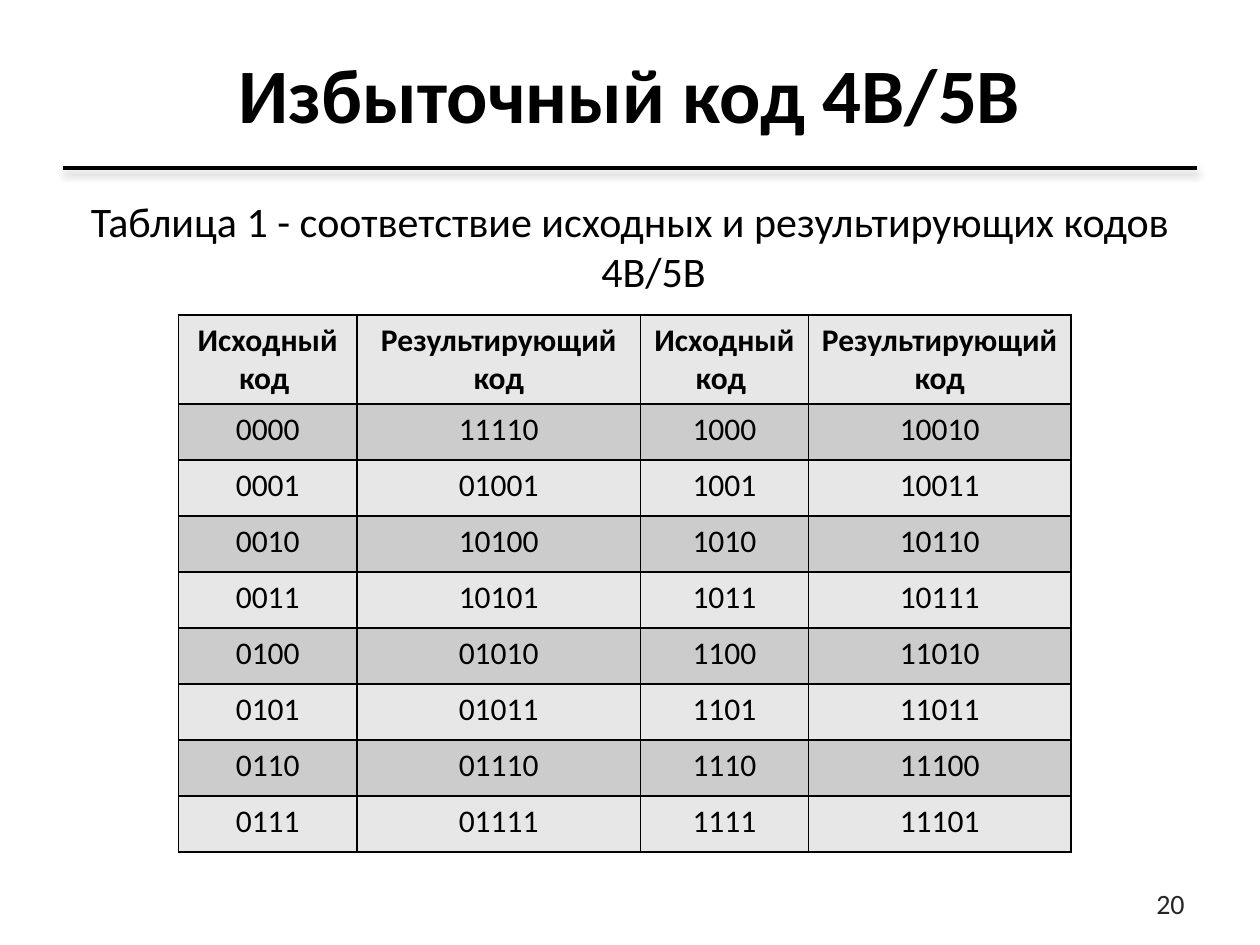
from typing import NamedTuple

from lxml import etree
from pptx import Presentation
from pptx.dml.color import RGBColor
from pptx.enum import shapes, text
from pptx.oxml import ns, parse_xml
from pptx.util import Pt

BLACK = RGBColor(0x00, 0x00, 0x00)
DARK = RGBColor(0x26, 0x26, 0x26)
LIGHT_ROW = RGBColor(0xE7, 0xE7, 0xE7)
GREY_ROW = RGBColor(0xCC, 0xCC, 0xCC)
FONT = "Calibri"
CENTER, RIGHT = text.PP_ALIGN.CENTER, text.PP_ALIGN.RIGHT
TOP, MIDDLE = text.MSO_ANCHOR.TOP, text.MSO_ANCHOR.MIDDLE

HEADER = ["Исходный код ", "Результирующий код"] * 2
RESULT_CODES = (
    "11110 01001 10100 10101 01010 01011 01110 01111 "
    "10010 10011 10110 10111 11010 11011 11100 11101"
).split()
HALF = len(RESULT_CODES) // 2
COLUMN_WIDTHS = [102, 162, 96, 150]
HEADER_HEIGHT, ROW_HEIGHT = 51, 32


class Label(NamedTuple):
    text: str
    left: float
    top: float
    width: float
    height: float
    size: float
    color: RGBColor = BLACK
    bold: bool = False
    align: text.PP_ALIGN = CENTER
    anchor: text.MSO_ANCHOR = MIDDLE
    hanging: int = 0


LABELS = [
    Label("Избыточный код 4В/5В", 36, 21.6, 648, 62.4, 44, bold=True),
    Label("Таблица 1 - соответствие исходных и результирующих кодов 4В/5В",
          36, 108, 648, 78, 24, anchor=TOP, hanging=27),
    Label("20", 618, 504, 66, 24, 16, color=DARK, align=RIGHT),
]


def write(tf, words: str, size: float, color: RGBColor, bold: bool, align):
    p = tf.paragraphs[0]
    p.alignment = align
    r = p.add_run()
    r.text = words
    r.font.name, r.font.size, r.font.bold = FONT, Pt(size), bold
    r.font.color.rgb = color
    return p


def add_label(s, label: Label) -> None:
    sp = s.shapes.add_textbox(Pt(label.left), Pt(label.top), Pt(label.width), Pt(label.height))
    tf = sp.text_frame
    tf.word_wrap = True
    tf.vertical_anchor = label.anchor
    p = write(tf, label.text, label.size, label.color, label.bold, label.align)
    if label.hanging:
        pPr = p._p.get_or_add_pPr()
        pPr.set("marL", str(Pt(label.hanging)))
        pPr.set("indent", str(-Pt(label.hanging)))


def add_rule(s) -> None:
    line = s.shapes.add_connector(shapes.MSO_CONNECTOR.STRAIGHT, Pt(36), Pt(96), Pt(684), Pt(96))
    line.line.color.rgb = BLACK
    line.line.width = Pt(2)
    line._element.spPr.append(parse_xml(
        f'<a:effectLst {ns.nsdecls("a")}><a:outerShdw blurRad="{Pt(4)}" dist="{Pt(3)}" '
        'dir="5400000" rotWithShape="0"><a:srgbClr val="000000"><a:alpha val="40000"/>'
        '</a:srgbClr></a:outerShdw></a:effectLst>'))


def add_borders(cell) -> None:
    tcPr = cell._tc.get_or_add_tcPr()
    for i, side in enumerate(("lnL", "lnR", "lnT", "lnB")):
        ln = etree.Element(ns.qn(f"a:{side}"), w=str(Pt(1)))
        fill = etree.SubElement(ln, ns.qn("a:solidFill"))
        etree.SubElement(fill, ns.qn("a:srgbClr"), val=str(BLACK))
        tcPr.insert(i, ln)


def add_code_table(s) -> None:
    rows = [HEADER] + [
        [value for n in (i, i + HALF) for value in (f"{n:04b}", RESULT_CODES[n])]
        for i in range(HALF)
    ]
    height = HEADER_HEIGHT + HALF * ROW_HEIGHT
    table = s.shapes.add_table(len(rows), len(HEADER), Pt(102), Pt(180),
                               Pt(sum(COLUMN_WIDTHS)), Pt(height)).table
    for column, width in zip(table.columns, COLUMN_WIDTHS):
        column.width = Pt(width)
    for i, values in enumerate(rows):
        table.rows[i].height = Pt(ROW_HEIGHT if i else HEADER_HEIGHT)
        for j, value in enumerate(values):
            cell = table.cell(i, j)
            cell.fill.solid()
            cell.fill.fore_color.rgb = GREY_ROW if i % 2 else LIGHT_ROW
            write(cell.text_frame, value, 18, BLACK, i == 0, CENTER)
            add_borders(cell)


def main() -> None:
    prs = Presentation()
    prs.slide_width, prs.slide_height = Pt(720), Pt(540)
    s = prs.slides.add_slide(prs.slide_layouts[6])

    # Rule under the title
    add_rule(s)
    # Title, caption and page number
    for label in LABELS:
        add_label(s, label)
    # Code table
    add_code_table(s)

    prs.save("out.pptx")


if __name__ == "__main__":
    main()
